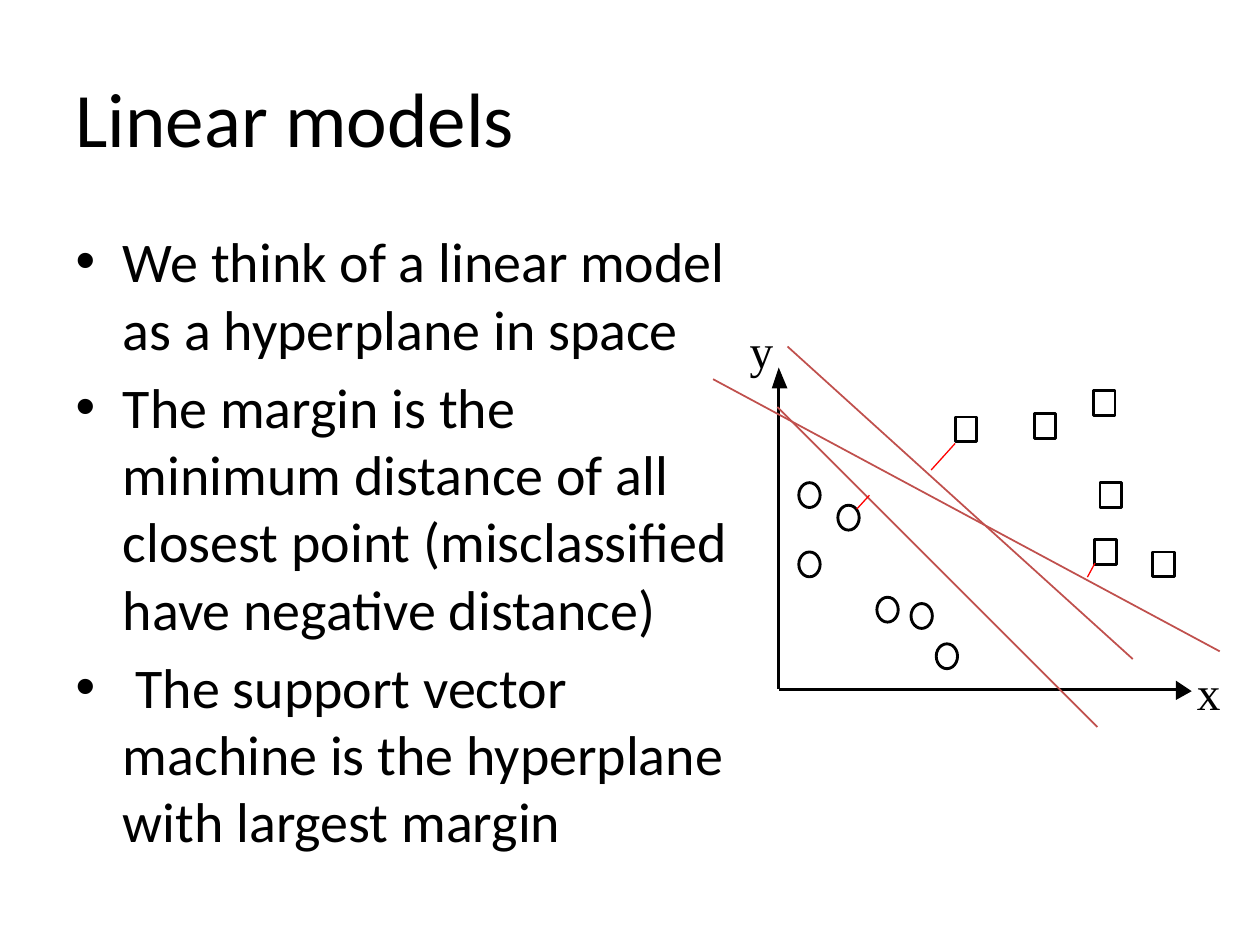
from lxml import etree
from pptx import Presentation
from pptx import util as u
from pptx.dml import color
from pptx.enum import shapes, text
from pptx.oxml import ns

BLACK = color.RGBColor(0x00, 0x00, 0x00)
WHITE = color.RGBColor(0xFF, 0xFF, 0xFF)
BRICK = color.RGBColor(0xC0, 0x50, 0x4D)
RED = color.RGBColor(0xFF, 0x00, 0x00)

POINTS = [
    "We think of a linear model as a hyperplane in space",
    "The margin is the minimum distance of all closest point "
    "(misclassified have negative distance)",
    " The support vector machine is the hyperplane with largest margin",
]
PLANES = [
    (450, 198, 647.3, 376.6),
    (444.2, 232.6, 627.1, 415.4),
    (407.5, 216.7, 697, 372.2),
]
GAPS = [
    (489.6, 290.9, 496.8, 283),
    (621.4, 329.8, 625.7, 321.8),
    (532.1, 268.6, 545.8, 253.4),
]
AXES = [(445, 393.8, 445, 221), (445, 393.8, 671.8, 393.8)]
TIPS = [
    [(450, 221.8), (445, 210.2), (440.6, 221.8)],
    [(671.8, 400.3), (681.1, 394.6), (671.8, 388.8)],
]
ROUNDS = [(520.6, 344.9), (456.5, 315.4), (456.5, 275.8),
          (501.1, 341.3), (535, 367.9), (478.8, 288.7)]
SQUARES = [(545.8, 238.3), (625.7, 308.2), (591.1, 236.2),
           (625, 223.2), (658.8, 315.4), (628.6, 275.8)]
NAMES = [("y", 428.4, 183.6), ("x", 684, 378.7)]


def apply(item, values):
    for name, value in values.items():
        setattr(item, name, value)


class Board:
    HEAD = {"size": u.Pt(44), "name": "Calibri"}
    BODY = {"size": u.Pt(32), "name": "Calibri"}
    AXIS = {"size": u.Pt(27), "name": "Times New Roman"}
    TIGHT = {"margin_left": 0, "margin_right": 0, "margin_top": 0,
             "margin_bottom": 0, "word_wrap": False,
             "auto_size": text.MSO_AUTO_SIZE.SHAPE_TO_FIT_TEXT}
    MARK = (12.2, 14.2)
    EDGE = 1.63

    def __init__(self, slide):
        self.slide = slide
        self.shapes = slide.shapes

    def words(self, para, words, font):
        run = para.add_run()
        run.text = words
        apply(run.font, font)
        run.font.color.rgb = BLACK

    def fill(self, index, lines, box, font, frame):
        holder = self.slide.placeholders[index]
        apply(holder, dict(zip(("left", "top", "width", "height"), map(u.Pt, box))))
        apply(holder.text_frame, frame)
        for i, line in enumerate(lines):
            para = holder.text_frame.add_paragraph() if i else holder.text_frame.paragraphs[0]
            para.alignment = text.PP_ALIGN.LEFT
            self.words(para, line, font)

    def label(self, name, left, top):
        box = self.shapes.add_textbox(u.Pt(left), u.Pt(top), u.Pt(7.2), u.Pt(20.9))
        apply(box.text_frame, self.TIGHT)
        self.words(box.text_frame.paragraphs[0], name, self.AXIS)

    def line(self, ends, ink, width):
        line = self.shapes.add_connector(shapes.MSO_CONNECTOR.STRAIGHT, *map(u.Pt, ends))
        line.line.color.rgb = ink
        line.line.width = u.Pt(width)
        etree.SubElement(line._element.spPr, ns.qn("a:effectLst"))

    def mark(self, kind, spot):
        mark = self.shapes.add_shape(kind, *map(u.Pt, spot + self.MARK))
        mark.shadow.inherit = False
        mark.fill.solid()
        mark.fill.fore_color.rgb = WHITE
        mark.line.color.rgb = BLACK
        mark.line.width = u.Pt(self.EDGE)

    def tip(self, spots):
        route = self.shapes.build_freeform(*spots[0], scale=u.Pt(1))
        route.add_line_segments(spots[1:], close=True)
        tip = route.convert_to_shape()
        tip.shadow.inherit = False
        tip.fill.solid()
        tip.fill.fore_color.rgb = BLACK
        tip.line.fill.background()


def main():
    deck = Presentation()
    apply(deck, {"slide_width": u.Pt(720), "slide_height": u.Pt(540)})
    board = Board(deck.slides.add_slide(deck.slide_layouts[1]))
    fixed = {"auto_size": text.MSO_AUTO_SIZE.NONE, "word_wrap": True}
    board.fill(0, ["Linear models"], (36, 21.6, 648, 90), board.HEAD,
               {**fixed, "vertical_anchor": text.MSO_ANCHOR.MIDDLE})
    board.fill(1, POINTS, (36, 126, 392.4, 356.4), board.BODY, fixed)
    for name in NAMES:
        board.label(*name)
    for kind, spots in ((shapes.MSO_SHAPE.OVAL, ROUNDS),
                        (shapes.MSO_SHAPE.RECTANGLE, SQUARES)):
        for spot in spots:
            board.mark(kind, spot)
    for ends, ink, width in ((AXES, BLACK, board.EDGE), (PLANES, BRICK, 1),
                             (GAPS, RED, 0.75)):
        for pair in ends:
            board.line(pair, ink, width)
    for spots in TIPS:
        board.tip(spots)
    deck.save("out.pptx")


if __name__ == "__main__":
    main()
